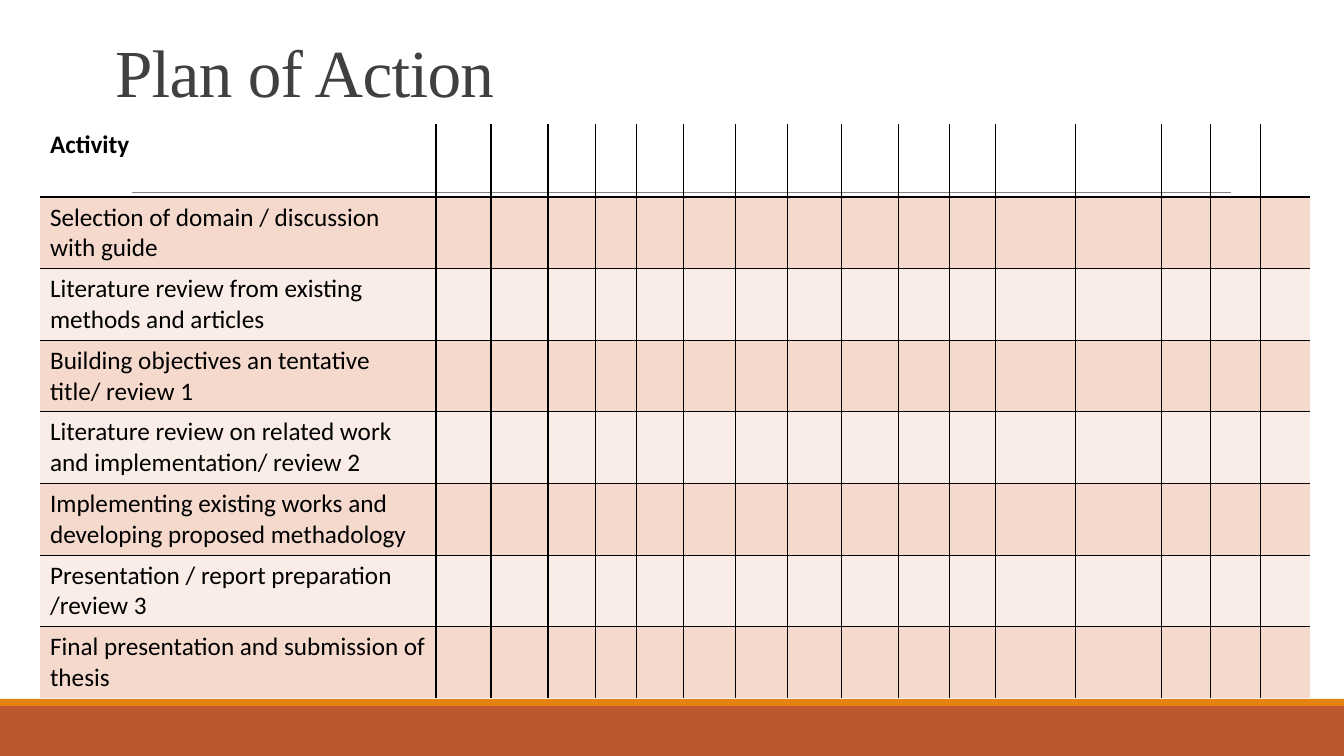
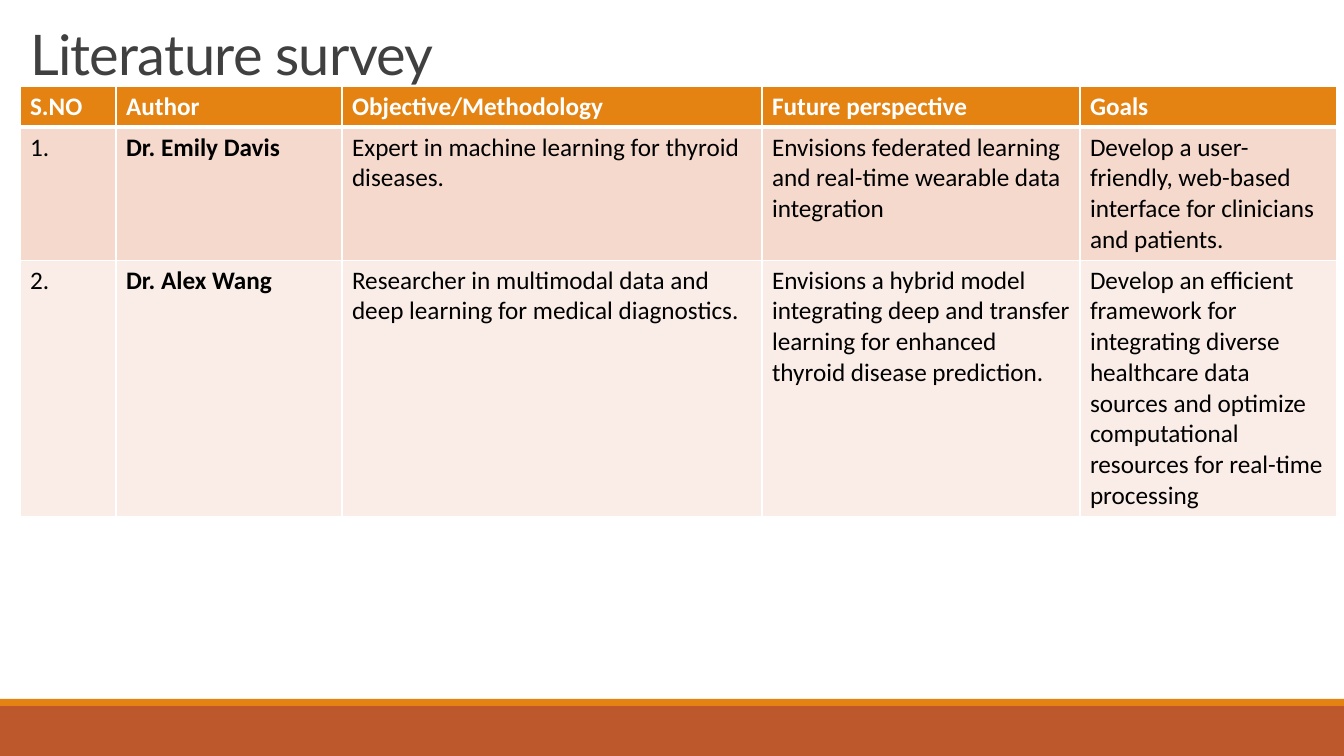
from dataclasses import dataclass

from lxml import etree
from pptx import Presentation
from pptx import util as u
from pptx.dml import color
from pptx.enum import shapes, text
from pptx.oxml import ns

PAGE_WIDTH, PAGE_HEIGHT = 1344, 756
EMU_PER_PX = 914400 / 100.8
ORANGE, RUST, GREY, INK = "E48312", "BD582C", "808080", "404040"
BLACK, WHITE = "000000", "FFFFFF"
STRIPES = ("F5D9CC", "FAEDE7")
BODY_FONT = "Calibri"
PLAIN_TABLE_STYLE = "{2D5ABB26-0587-4C30-8999-92F81FD0307C}"


@dataclass(frozen=True)
class Area:
    left: int
    top: int
    width: int
    height: int

    def emu(self) -> tuple[int, ...]:
        return tuple(px(n) for n in (self.left, self.top, self.width, self.height))


@dataclass(frozen=True)
class Band:
    area: Area
    fill: str


@dataclass(frozen=True)
class Heading:
    wording: str
    area: Area
    font: str
    size: int


@dataclass(frozen=True)
class Grid:
    left: int
    top: int
    columns: tuple[int, ...]
    heights: tuple[int, ...]
    rows: tuple[tuple[str, ...], ...]
    border: str
    header_ink: str
    header_fill: str | None = None
    header_rule: int = 1
    framed: bool = False
    bold_columns: tuple[int, ...] = ()


BANDS = (
    Band(Area(0, 706, PAGE_WIDTH, 50), RUST),
    Band(Area(0, 699, PAGE_WIDTH, 7), ORANGE),
)

ACTIVITIES = (
    "Activity",
    "Selection of domain / discussion with guide",
    "Literature review from existing methods and articles",
    "Building objectives an tentative title/ review 1",
    "Literature review on related work and implementation/ review 2",
    "Implementing existing works and developing proposed methadology",
    "Presentation / report preparation /review 3",
    "Final presentation and submission of thesis",
)

PLAN = Grid(
    40, 124,
    (396, 55, 57, 48, 41, 47, 52, 52, 54, 57, 51, 46, 80, 86, 49, 50, 49),
    (73,) + (71,) * 7,
    tuple((activity,) for activity in ACTIVITIES),
    border=BLACK, header_ink=BLACK,
)

SURVEY = Grid(
    20, 86,
    (96, 226, 420, 318, 257),
    (41, 133, 255),
    (
        ("S.NO", "Author", "Objective/Methodology", "Future perspective", "Goals"),
        (
            "1.",
            "Dr. Emily Davis",
            "Expert in machine learning for thyroid diseases.",
            "Envisions federated learning and real-time wearable data integration",
            "Develop a user-friendly, web-based interface for clinicians and patients.",
        ),
        (
            "2.",
            "Dr. Alex Wang",
            "Researcher in multimodal data and deep learning for medical diagnostics.",
            "Envisions a hybrid model integrating deep and transfer learning for "
            "enhanced thyroid disease prediction.",
            "Develop an efficient framework for integrating diverse healthcare data "
            "sources and optimize computational resources for real-time processing",
        ),
    ),
    border=WHITE, header_ink=WHITE, header_fill=ORANGE, header_rule=3,
    framed=True, bold_columns=(1,),
)

PAGES = (
    (Heading("Plan of Action", Area(105, 20, 1159, 96), "Times New Roman", 48), PLAN),
    (Heading("Literature survey", Area(20, 0, 1159, 92), "Lato", 40), SURVEY),
)


def px(length: int) -> int:
    return round(length * EMU_PER_PX)


def rgb(code: str) -> color.RGBColor:
    return color.RGBColor.from_string(code)


def style_font(para, name: str, size: int, ink: str, bold: bool = False) -> None:
    font = para.font
    font.name, font.size, font.bold = name, u.Pt(size), bold
    font.color.rgb = rgb(ink)


def draw_band(page, band: Band):
    box = page.shapes.add_shape(shapes.MSO_SHAPE.RECTANGLE, *band.area.emu())
    box.shadow.inherit = False
    box.fill.solid()
    box.fill.fore_color.rgb = rgb(band.fill)
    box.line.fill.background()
    return box


def draw_rule(page):
    rule = page.shapes.add_connector(
        shapes.MSO_CONNECTOR.STRAIGHT, px(132), px(192), px(1231), px(192)
    )
    rule.line.color.rgb = rgb(GREY)
    rule.line.width = u.Pt(0.5)
    etree.SubElement(rule.element.spPr, ns.qn("a:effectLst"))
    return rule


def furnish_layout(layout, page) -> None:
    furniture = [draw_band(page, band) for band in BANDS] + [draw_rule(page)]
    for item in furniture:
        layout.shapes.element.append(item.element)


def draw_heading(page, heading: Heading) -> None:
    box = page.shapes.title
    box.left, box.top, box.width, box.height = heading.area.emu()
    frame = box.text_frame
    frame.text = heading.wording
    frame.word_wrap = True
    frame.auto_size = text.MSO_AUTO_SIZE.NONE
    frame.vertical_anchor = text.MSO_ANCHOR.BOTTOM
    para = frame.paragraphs[0]
    para.alignment = text.PP_ALIGN.LEFT
    para.line_spacing = 0.85
    style_font(para, heading.font, heading.size, INK)
    for properties in box.element.iter(ns.qn("a:defRPr")):
        properties.set("spc", "-50")


def draw_borders(cell, grid: Grid, row: int, column: int) -> None:
    last_row, last_column = len(grid.heights) - 1, len(grid.columns) - 1
    sides = (
        ("L", column > 0, 1),
        ("R", column < last_column, 1),
        ("T", row > 0, grid.header_rule if row == 1 else 1),
        ("B", row < last_row, grid.header_rule if row == 0 else 1),
    )
    properties = cell._tc.get_or_add_tcPr()
    for side, inner, points in sides:
        if inner or grid.framed:
            line = etree.SubElement(properties, ns.qn(f"a:ln{side}"), w=str(u.Pt(points)))
            fill = etree.SubElement(line, ns.qn("a:solidFill"))
            etree.SubElement(fill, ns.qn("a:srgbClr"), val=grid.border)


def fill_cell(cell, grid: Grid, row: int, column: int) -> None:
    draw_borders(cell, grid, row, column)
    shade = STRIPES[(row - 1) % 2] if row else grid.header_fill
    if shade:
        cell.fill.solid()
        cell.fill.fore_color.rgb = rgb(shade)
    else:
        cell.fill.background()
    if column < len(grid.rows[row]):
        cell.text = grid.rows[row][column]
        style_font(
            cell.text_frame.paragraphs[0], BODY_FONT, 18,
            BLACK if row else grid.header_ink,
            bold=row == 0 or column in grid.bold_columns,
        )


def draw_grid(page, grid: Grid) -> None:
    area = Area(grid.left, grid.top, sum(grid.columns), sum(grid.heights))
    table = page.shapes.add_table(
        len(grid.heights), len(grid.columns), *area.emu()
    ).table
    table.horz_banding = False
    for style in table._tbl.iter(ns.qn("a:tableStyleId")):
        style.text = PLAIN_TABLE_STYLE
    for column, width in zip(table.columns, grid.columns):
        column.width = px(width)
    for row, height in enumerate(grid.heights):
        table.rows[row].height = px(height)
        for column in range(len(grid.columns)):
            fill_cell(table.cell(row, column), grid, row, column)


def main() -> None:
    deck = Presentation()
    deck.slide_width, deck.slide_height = px(PAGE_WIDTH), px(PAGE_HEIGHT)
    layout = deck.slide_layouts.get_by_name("Title Only")
    for number, (heading, grid) in enumerate(PAGES):
        page = deck.slides.add_slide(layout)
        if number == 0:
            furnish_layout(layout, page)
        draw_heading(page, heading)
        draw_grid(page, grid)
    deck.save("out.pptx")


if __name__ == "__main__":
    main()
